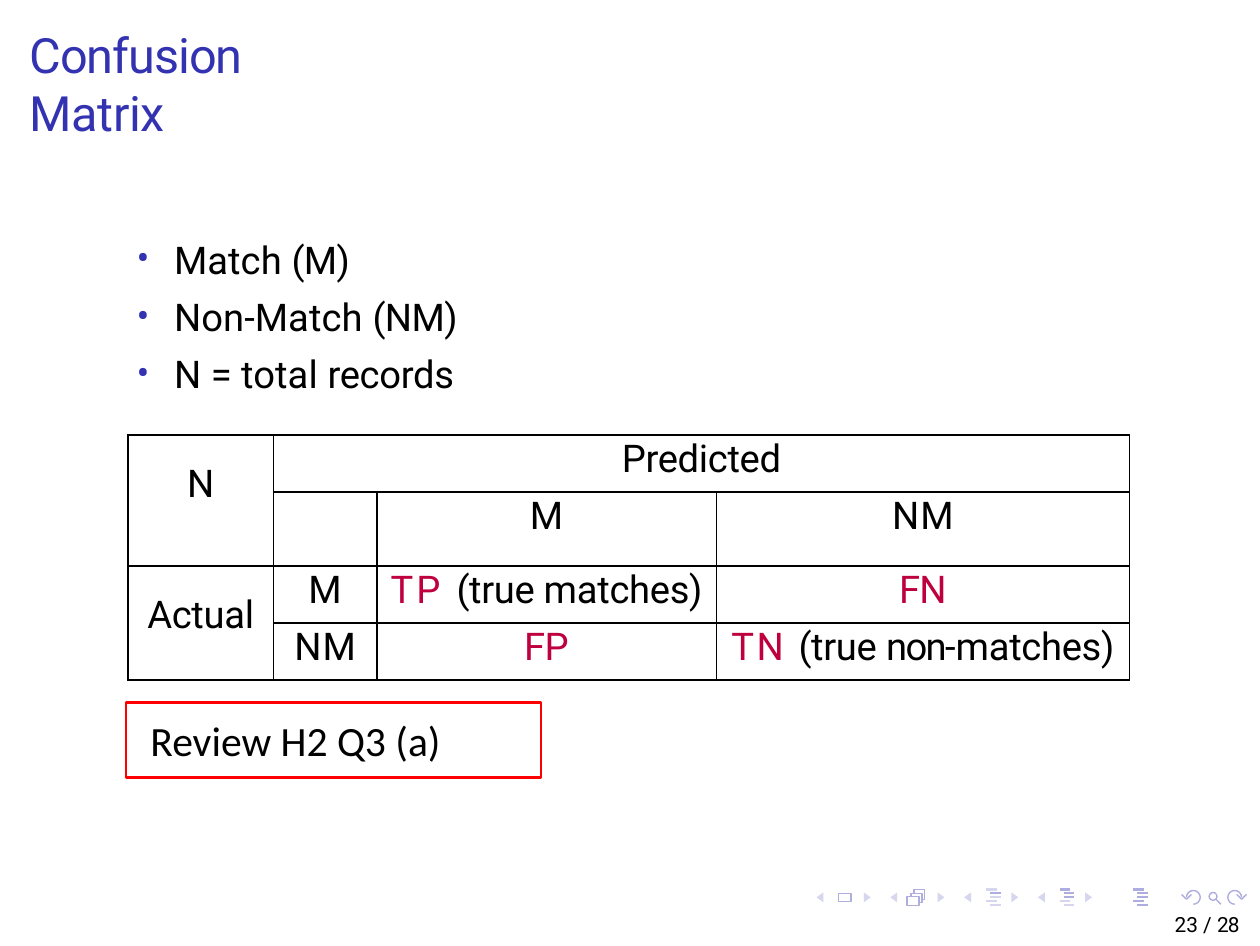
from math import cos, pi, sin

from lxml import etree
from pptx import Presentation
from pptx.dml.color import RGBColor
from pptx.enum.shapes import MSO_SHAPE
from pptx.enum.text import MSO_ANCHOR, MSO_AUTO_SIZE, PP_ALIGN
from pptx.oxml.ns import qn
from pptx.util import Cm, Pt

RECT = MSO_SHAPE.RECTANGLE
TOP = MSO_ANCHOR.TOP
FIXED = MSO_AUTO_SIZE.NONE
LEFT, MID = PP_ALIGN.LEFT, PP_ALIGN.CENTER
COLORS = {"title": "3333B2", "text": "000000", "key": "BF003F",
          "frame": "FF0000", "dark": "ADADE0", "pale": "D6D6EF"}


def rgb(name):
    """Return a colour from the palette."""
    return RGBColor.from_string(COLORS[name])


def write(par, text, size=11, font="Roboto", color="text", space=0, align=LEFT):
    """Append formatted text to a paragraph."""
    par.alignment = align
    run = par.add_run()
    run.text = text
    run.font.size, run.font.name = Pt(size), font
    run.font.color.rgb = rgb(color)
    if space:
        run._r.get_or_add_rPr().set("spc", str(round(space * 100)))


def frame(shape, top=0):
    """Give a text shape tight margins and return its frame."""
    body = shape.text_frame
    body.word_wrap, body.auto_size = True, FIXED
    body.vertical_anchor = TOP
    body.margin_left = body.margin_right = body.margin_bottom = 0
    body.margin_top = Cm(top)
    return body


def head(slide, box):
    """Place the slide title."""
    title = slide.shapes.title
    title.left, title.top, title.width, title.height = map(Cm, box)
    par = frame(title, 0.05).paragraphs[0]
    par.line_spacing = 1
    write(par, "Confusion ", size=14, color="title", space=-0.3)
    write(par, "Matrix", size=14, color="title", space=-0.1)


def points(slide, box):
    """Place the bulleted definitions."""
    body = frame(slide.shapes.add_textbox(*map(Cm, box)), 0.16)
    items = [("Match ", "(M)", -0.2), ("Non-Match ", "(NM)", -0.2),
             ("N = total ", "records", -0.1)]
    for i, (start, end, space) in enumerate(items):
        par = body.add_paragraph() if i else body.paragraphs[0]
        par.space_before = Pt(3.3 if i else 4.3)
        props = par._p.get_or_add_pPr()
        props.set("marL", str(Cm(0.49)))
        props.set("indent", str(Cm(-0.38)))
        tint = etree.SubElement(props, qn("a:buClr"))
        etree.SubElement(tint, qn("a:srgbClr"), val=COLORS["title"])
        etree.SubElement(props, qn("a:buFont"), typeface="Roboto")
        etree.SubElement(props, qn("a:buChar"), char="•")
        write(par, start)
        write(par, end, space=space)


def border(cell):
    """Draw thin lines on all sides of a cell."""
    props = cell._tc.get_or_add_tcPr()
    for side in ("a:lnL", "a:lnR", "a:lnT", "a:lnB"):
        line = etree.SubElement(props, qn(side), w=str(Pt(0.5)))
        fill = etree.SubElement(line, qn("a:solidFill"))
        etree.SubElement(fill, qn("a:srgbClr"), val=COLORS["text"])
    cell.fill.background()


def matrix(slide, box):
    """Place the confusion matrix."""
    cols, rows = (1.48, 1.05, 3.45, 4.2), (0.58, 0.75, 0.58, 0.58)
    table = slide.shapes.add_table(4, 4, *map(Cm, box)).table
    table.first_row = table.horz_banding = False
    for col, width in zip(table.columns, cols):
        col.width = Cm(width)
    for row, height in zip(table.rows, rows):
        row.height = Cm(height)
    for start, end in [((0, 0), (1, 0)), ((0, 1), (0, 3)), ((2, 0), (3, 0))]:
        table.cell(*start).merge(table.cell(*end))
    key = "key"
    texts = [
        [[("N", "text", -0.5)], [("Predicted", "text", -0.1)], [], []],
        [[], [("", "text", 0)], [("M", "text", 0.5)], [("NM", "text", 0.3)]],
        [[("Actual", "text", -0.1)], [("M", "text", 0.5)],
         [("TP ", key, 0.9), ("(true matches)", "text", -0.1)], [("FN", key, -0.2)]],
        [[], [("NM", "text", 0.3)], [("FP", key, -0.2)],
         [("TN ", key, 0.7), ("(true ", "text", -0.1),
          ("non-", "text", -0.5), ("matches)", "text", -0.1)]],
    ]
    for r, row in enumerate(texts):
        for c, runs in enumerate(row):
            cell = table.cell(r, c)
            cell.margin_left = cell.margin_right = cell.margin_bottom = 0
            tall = cell.is_merge_origin and c == 0
            cell.margin_top = Cm(0.28 if tall else 0.02)
            border(cell)
            for text, color, space in runs:
                write(cell.text_frame.paragraphs[0], text, color=color,
                      space=space, align=MID)


def review(slide, box):
    """Place the framed review note."""
    note = slide.shapes.add_shape(RECT, *map(Cm, box))
    note.shadow.inherit = False
    note.fill.background()
    note.line.color.rgb, note.line.width = rgb("frame"), Pt(0.75)
    body = note.text_frame
    body.word_wrap, body.vertical_anchor = True, TOP
    write(body.paragraphs[0], "Review H2 Q3 (a)", size=12, font="Calibri")


def draw(slide, origin, paths, color, width=0.4, close=False, solid=False):
    """Draw outlines given as points from an origin."""
    x, y = origin
    spots = [[(Cm(x + a), Cm(y + b)) for a, b in path] for path in paths]
    pen = slide.shapes.build_freeform(*spots[0][0])
    for i, path in enumerate(spots):
        if i:
            pen.move_to(*path[0])
        pen.add_line_segments(path[1:], close=close)
    shape = pen.convert_to_shape()
    shape.shadow.inherit = False
    if solid:
        shape.fill.solid()
        shape.fill.fore_color.rgb = rgb(color)
        shape.line.fill.background()
    else:
        shape.fill.background()
        shape.line.color.rgb, shape.line.width = rgb(color), Pt(width)


def arc(radius, turn, flip=1):
    """Return points of an arc that starts at the side."""
    steps = [turn * pi * i / 12 for i in range(13)]
    return [(-flip * radius * cos(t), -radius * sin(t)) for t in steps]


def bars(slide, origin, tints):
    """Draw a list symbol with one tint per bar."""
    for i, (shift, tint) in enumerate(zip((0, 0.04, 0.04, 0, 0.04), tints)):
        y = i * 0.04
        draw(slide, origin, [[(shift, y), (shift + 0.11, y)]], tint, 0.6)


def controls(slide, box):
    """Draw the row of navigation symbols."""
    left, top, step = box
    slots = [left + i * step for i in range(5)]
    for x in slots[:4]:
        arrows = [[(0.07, 0.03), (0, 0.08), (0.07, 0.13)],
                  [(0.48, 0.03), (0.55, 0.08), (0.48, 0.13)]]
        draw(slide, (x, top), arrows, "pale", close=True, solid=True)
    card = [(0.22, 0.04), (0.35, 0.04), (0.35, 0.12), (0.22, 0.12)]
    draw(slide, (slots[0], top), [card], "dark", close=True)
    stack = [[(0.17, 0.07), (0.29, 0.07), (0.29, 0.16), (0.17, 0.16), (0.17, 0.07)],
             [(0.21, 0.07), (0.21, 0.04), (0.32, 0.04), (0.32, 0.13), (0.29, 0.13)],
             [(0.24, 0.04), (0.24, 0), (0.35, 0), (0.35, 0.1), (0.32, 0.1)]]
    draw(slide, (slots[1], top), stack, "dark")
    dark, pale = ["dark"], ["pale"]
    tints = [pale + dark + pale * 3, dark * 3 + pale * 2, dark * 5]
    for x, tint in zip(slots[2:], tints):
        bars(slide, (x + 0.22, top), tint)
    for x, flip in ((3.83, 1), (4.25, -1)):
        tip = [(-flip * a, b) for a, b in ((0.02, -0.03), (0.07, 0.02), (0.12, -0.03))]
        draw(slide, (left + x, top + 0.08), [arc(0.07, 1.5, flip), tip], "dark")
    lens = [arc(0.04, 2), [(0.03, 0.03), (0.08, 0.08)]]
    draw(slide, (left + 4.03, top + 0.07), lens, "dark")


def number(slide, box):
    """Place the page count."""
    par = frame(slide.shapes.add_textbox(*map(Cm, box))).paragraphs[0]
    par.line_spacing = Pt(6.8)
    write(par, "23 / ", size=6)
    write(par, "28", size=6, space=-0.2)


def main():
    """Build and save the slide."""
    deck = Presentation()
    deck.slide_width, deck.slide_height = Pt(363), Pt(272.5)
    slide = deck.slides.add_slide(deck.slide_layouts[5])
    controls(slide, (8.3, 9.04, 0.75))
    head(slide, (0.3, 0.2, 3, 1.3))
    number(slide, (11.94, 9.28, 0.75, 0.28))
    points(slide, (1.28, 2.24, 3.8, 1.83))
    matrix(slide, (1.3, 4.42, 10.18, 2.49))
    review(slide, (1.28, 7.14, 4.22, 0.76))
    deck.save("out.pptx")


if __name__ == "__main__":
    main()
